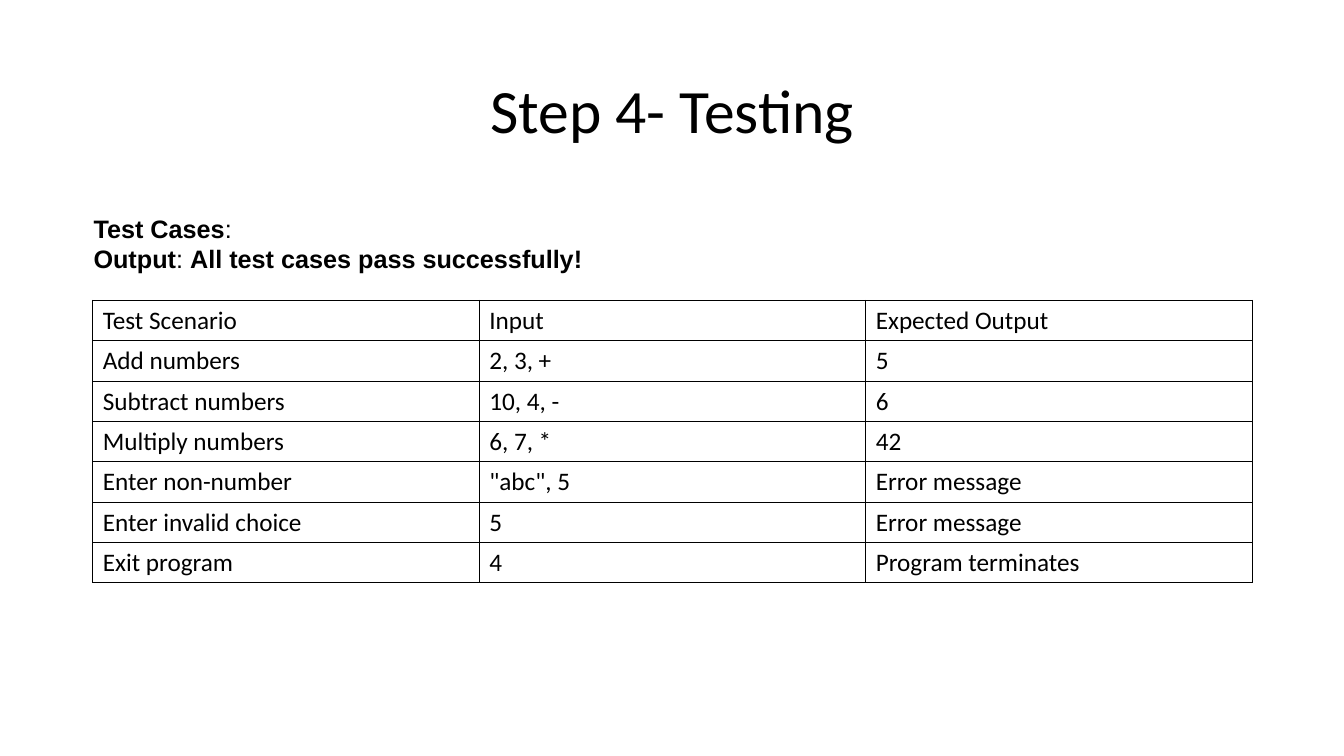
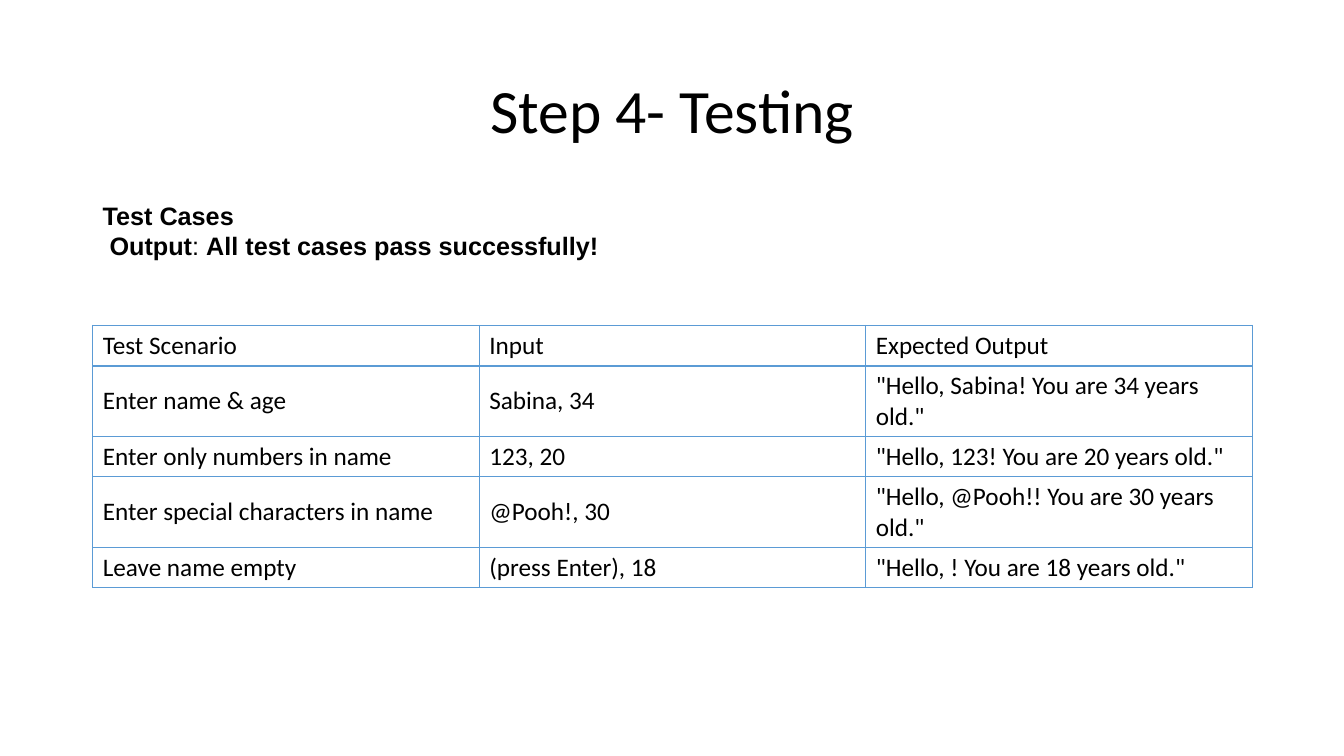
"""Build two slides that list the test cases of a programming exercise."""
from lxml.etree import SubElement
from pptx import Presentation
from pptx.dml.color import RGBColor
from pptx.enum.text import MSO_ANCHOR, PP_ALIGN
from pptx.oxml.ns import qn
from pptx.util import Inches, Pt

BLACK = RGBColor(0x00, 0x00, 0x00)
BLUE = RGBColor(0x5B, 0x9B, 0xD5)
TITLE_FONT = TABLE_FONT = "Calibri"
SUMMARY_FONT = "Arial"
LEFT, WIDTH = 0.92, 11.5
ROW_HEIGHT = 0.4
HEADER = ("Test Scenario", "Input", "Expected Output")
RESULT = (("Output", True), (": ", False), ("All test cases pass successfully!", True))

CALCULATOR_TESTS = (
    ("Add numbers", "2, 3, +", "5"),
    ("Subtract numbers", "10, 4, -", "6"),
    ("Multiply numbers", "6, 7, *", "42"),
    ("Enter non-number", '"abc", 5', "Error message"),
    ("Enter invalid choice", "5", "Error message"),
    ("Exit program", "4", "Program terminates"),
)
GREETING_TESTS = (
    ("Enter name & age", "Sabina, 34", '"Hello, Sabina! You are 34 years old."'),
    ("Enter only numbers in name", "123, 20", '"Hello, 123! You are 20 years old."'),
    ("Enter special characters in name", "@Pooh!, 30",
     '"Hello, @Pooh!! You are 30 years old."'),
    ("Leave name empty", "(press Enter), 18", '"Hello, ! You are 18 years old."'),
)


def style_font(font, name, size, bold=False):
    """Set the face, size, weight and black colour of a font."""
    font.name = name
    font.size = Pt(size)
    font.bold = bold
    font.color.rgb = BLACK


def add_text_frame(page, left, top, width, height):
    """Add a wrapping, vertically centred text box and return its frame."""
    box = page.shapes.add_textbox(Inches(left), Inches(top), Inches(width), Inches(height))
    frame = box.text_frame
    frame.word_wrap = True
    frame.vertical_anchor = MSO_ANCHOR.MIDDLE
    return frame


def add_title(page, text):
    """Add the centred slide title."""
    frame = add_text_frame(page, LEFT, 0.4, WIDTH, 1.45)
    frame.text = text
    para = frame.paragraphs[0]
    para.alignment = PP_ALIGN.CENTER
    para.line_spacing = 0.9
    style_font(para.runs[0].font, TITLE_FONT, 44)


def add_summary(page, left, top, lines):
    """Add paragraphs made of (text, bold) spans."""
    frame = add_text_frame(page, left, top, 5.24, 0.71)
    for index, line in enumerate(lines):
        para = frame.add_paragraph() if index else frame.paragraphs[0]
        for text, bold in line:
            span = para.add_run()
            span.text = text
            style_font(span.font, SUMMARY_FONT, 18, bold)


def add_borders(cell, color):
    """Draw a one-point line on every side of a cell."""
    properties = cell._tc.get_or_add_tcPr()
    for side in ("a:lnL", "a:lnR", "a:lnT", "a:lnB"):
        line = SubElement(properties, qn(side), w=str(Pt(1)))
        fill = SubElement(line, qn("a:solidFill"))
        SubElement(fill, qn("a:srgbClr"), val=str(color))


def add_test_table(page, top, tests, border_color):
    """Add a plain bordered table of test cases under the common header."""
    rows = (HEADER, *tests)
    frame = page.shapes.add_table(len(rows), len(HEADER), Inches(LEFT), Inches(top),
                                  Inches(WIDTH), Inches(ROW_HEIGHT * len(rows)))
    table = frame.table
    table.first_row = table.horz_banding = False
    for row_index, row in enumerate(rows):
        for column_index, text in enumerate(row):
            cell = table.cell(row_index, column_index)
            cell.text = text
            cell.vertical_anchor = MSO_ANCHOR.MIDDLE
            style_font(cell.text_frame.paragraphs[0].runs[0].font, TABLE_FONT, 18)
            add_borders(cell, border_color)
            cell.fill.background()


def add_testing_page(deck):
    """Add a blank page that carries the shared title."""
    page = deck.slides.add_slide(deck.slide_layouts[6])
    add_title(page, "Step 4- Testing")
    return page


def main():
    """Build and save the deck."""
    deck = Presentation()
    deck.slide_width, deck.slide_height = Inches(13.33), Inches(7.5)

    page = add_testing_page(deck)
    add_test_table(page, 2.98, CALCULATOR_TESTS, BLACK)
    add_summary(page, 0.83, 2.06, ((("Test Cases", True), (":", False)), RESULT))

    page = add_testing_page(deck)
    add_test_table(page, 3.23, GREETING_TESTS, BLUE)
    add_summary(page, LEFT, 1.93, ((("Test Cases", True),), ((" ", False), *RESULT)))

    deck.save("out.pptx")


main()
